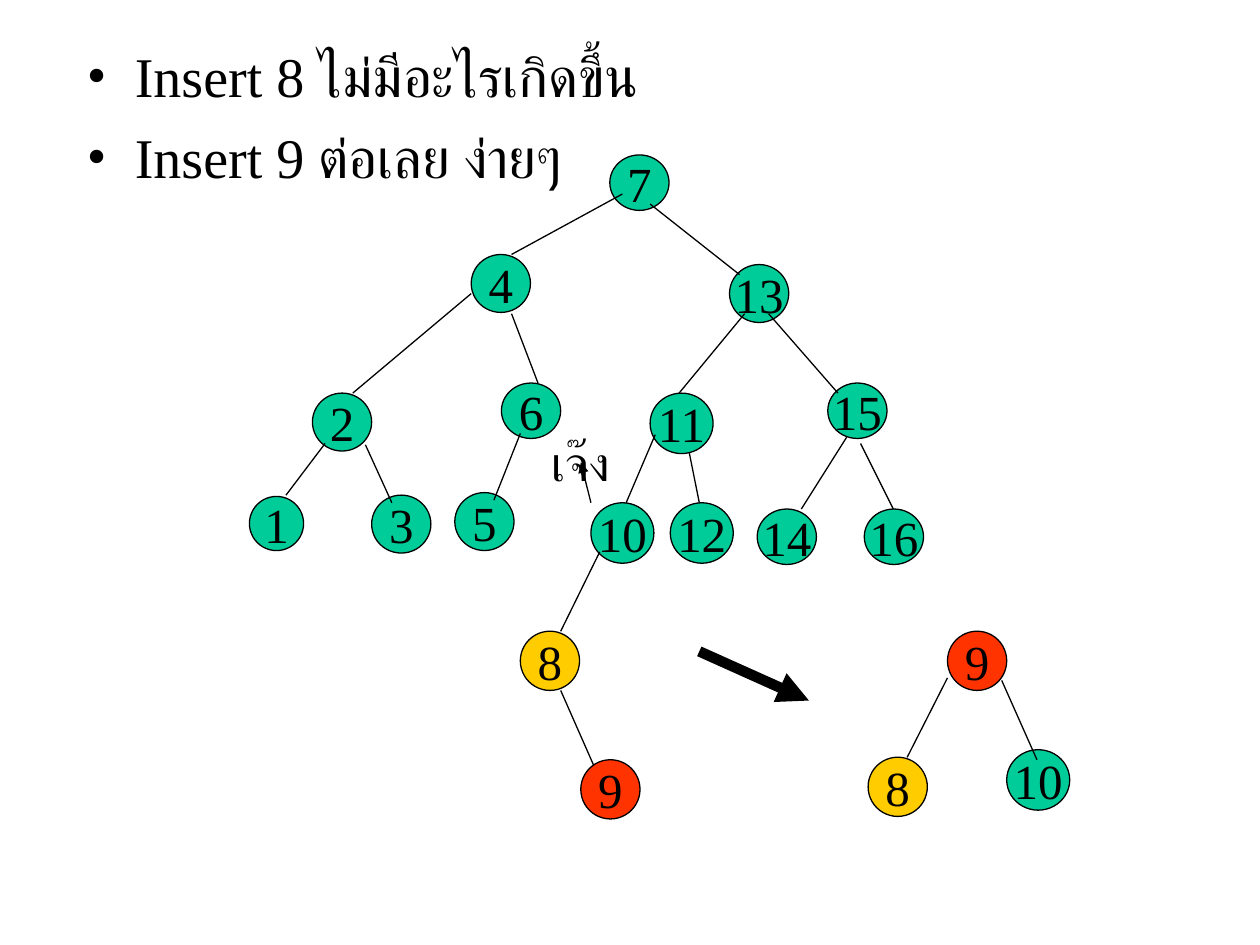
import lxml.etree
import pptx
import pptx.dml.color
import pptx.enum.shapes
import pptx.enum.text
import pptx.oxml.ns
import pptx.util

Inches = pptx.util.Inches
Pt = pptx.util.Pt
qn = pptx.oxml.ns.qn

BLACK, GREEN, YELLOW, RED = "000000", "00CC99", "FFCC00", "FF3300"
SMALL, WIDE, ROUND, LARGE = (0.47, 0.44), (0.47, 0.46), (0.47, 0.47), (0.5, 0.48)

# label, left, top, size, fill
NODES = [
    ("7", 4.84, 1.23, SMALL, GREEN),
    ("4", 3.74, 2.02, WIDE, GREEN),
    ("13", 5.79, 2.1, WIDE, GREEN),
    ("2", 2.48, 3.12, WIDE, GREEN),
    ("6", 3.98, 3.04, SMALL, GREEN),
    ("11", 5.16, 3.12, LARGE, GREEN),
    ("15", 6.57, 3.04, SMALL, GREEN),
    ("1", 1.98, 3.94, (0.43, 0.43), GREEN),
    ("3", 2.95, 3.93, WIDE, GREEN),
    ("5", 3.61, 3.91, WIDE, GREEN),
    ("10", 4.69, 3.99, LARGE, GREEN),
    ("12", 5.32, 3.99, LARGE, GREEN),
    ("14", 6.01, 4.04, SMALL, GREEN),
    ("16", 6.86, 4.04, SMALL, GREEN),
    ("8", 4.13, 5.01, ROUND, YELLOW),
    ("9", 4.61, 6.03, ROUND, RED),
    ("9", 7.52, 5.01, ROUND, RED),
    ("8", 6.89, 6.01, ROUND, YELLOW),
    ("10", 7.99, 5.95, LARGE, GREEN),
]

# parent end, child end
EDGES = [
    ((4.94, 1.54), (4.06, 2.02)),
    ((5.16, 1.62), (5.87, 2.18)),
    ((3.74, 2.33), (2.8, 3.12)),
    ((4.06, 2.49), (4.27, 3.04)),
    ((5.91, 2.49), (5.39, 3.12)),
    ((6.1, 2.49), (6.65, 3.12)),
    ((2.58, 3.52), (2.27, 3.93)),
    ((2.9, 3.53), (3.11, 3.99)),
    ((4.13, 3.44), (3.92, 3.97)),
    ((5.2, 3.45), (4.97, 3.99)),
    ((5.47, 3.59), (5.55, 3.99)),
    ((6.72, 3.47), (6.36, 4.04)),
    ((6.83, 3.52), (7.09, 4.04)),
    ((4.76, 4.38), (4.45, 5.01)),
    ((4.45, 5.48), (4.71, 6.07)),
    ((7.52, 5.38), (7.2, 6.01)),
    ((7.95, 5.4), (8.23, 6.03)),
]


def rgb(value):
    return pptx.dml.color.RGBColor.from_string(value)


class TreeSlide:
    font = "Times New Roman"

    def __init__(self, slide):
        self.slide = slide

    def run(self, p, text, size):
        r = p.add_run()
        r.text = text
        r.font.name = self.font
        r.font.size = Pt(size)
        r.font.color.rgb = rgb(BLACK)

    def bullets(self, box, lines):
        """Fill the body placeholder and drop the unused title."""
        title = self.slide.shapes.title._element
        title.getparent().remove(title)
        body = self.slide.placeholders[1]
        body.left, body.top, body.width, body.height = map(Inches, box)
        tf = body.text_frame
        tf.auto_size = pptx.enum.text.MSO_AUTO_SIZE.NONE
        for i, line in enumerate(lines):
            p = tf.add_paragraph() if i else tf.paragraphs[0]
            p.space_before = Pt(8)
            pPr = p._p.get_or_add_pPr()
            pPr.set("marL", str(Inches(0.38)))
            pPr.set("indent", str(-Inches(0.38)))
            clr = lxml.etree.SubElement(pPr, qn("a:buClr"))
            lxml.etree.SubElement(clr, qn("a:srgbClr"), val=BLACK)
            lxml.etree.SubElement(pPr, qn("a:buFont"), typeface=self.font)
            lxml.etree.SubElement(pPr, qn("a:buChar"), char="•")
            self.run(p, line, 32)

    def node(self, label, left, top, size, fill):
        sp = self.slide.shapes.add_shape(
            pptx.enum.shapes.MSO_SHAPE.OVAL, Inches(left), Inches(top), *map(Inches, size))
        sp.shadow.inherit = False
        sp.fill.solid()
        sp.fill.fore_color.rgb = rgb(fill)
        sp.line.color.rgb = rgb(BLACK)
        sp.line.width = Pt(0.75)
        tf = sp.text_frame
        tf.word_wrap = False
        tf.vertical_anchor = pptx.enum.text.MSO_ANCHOR.MIDDLE
        p = tf.paragraphs[0]
        p.alignment = pptx.enum.text.PP_ALIGN.CENTER
        self.run(p, label, 28)

    def line(self, start, end, width=0.75, arrow=False):
        cxn = self.slide.shapes.add_connector(
            pptx.enum.shapes.MSO_CONNECTOR.STRAIGHT, *map(Inches, start + end))
        cxn.line.color.rgb = rgb(BLACK)
        cxn.line.width = Pt(width)
        if arrow:
            lxml.etree.SubElement(cxn.line._get_or_add_ln(), qn("a:tailEnd"), type="triangle")
        lxml.etree.SubElement(cxn._element.spPr, qn("a:effectLst"))

    def label(self, text, box):
        sp = self.slide.shapes.add_textbox(*map(Inches, box))
        tf = sp.text_frame
        tf.word_wrap = False
        self.run(tf.paragraphs[0], text, 28)


def main():
    prs = pptx.Presentation()
    prs.slide_width, prs.slide_height = Inches(10), Inches(7.5)
    s = TreeSlide(prs.slides.add_slide(prs.slide_layouts[1]))
    s.bullets((0.59, 0.28, 8.5, 4.5),
              ["Insert 8 ไม่มีอะไรเกิดขึ้น", "Insert 9 ต่อเลย ง่ายๆ"])
    for node in NODES:
        s.node(*node)
    for start, end in EDGES:
        s.line(start, end)
    s.line((4.69, 3.99), (4.61, 3.67), arrow=True)
    s.label("เจ๊ง", (4.28, 3.38, 0.66, 0.57))
    s.line((5.55, 5.17), (6.42, 5.56), width=6, arrow=True)
    prs.save("out.pptx")


if __name__ == "__main__":
    main()
